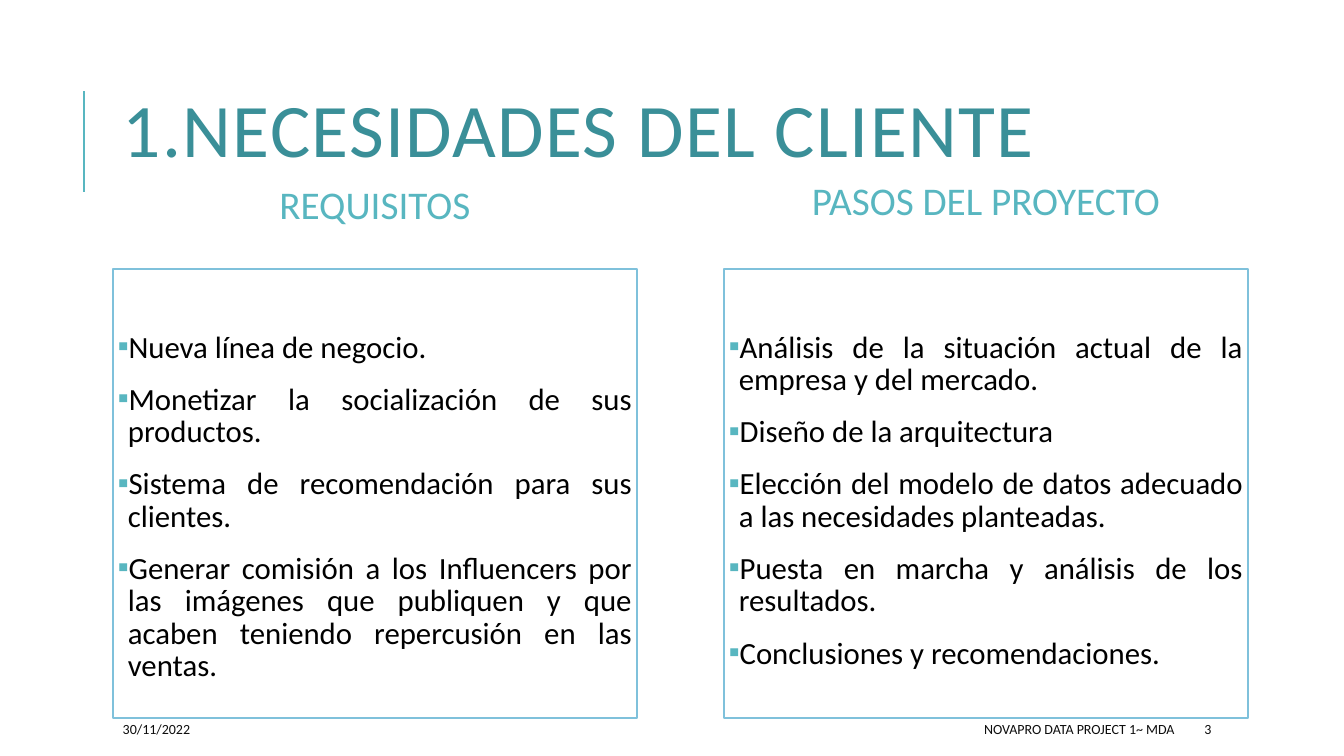
from lxml import etree
from pptx import Presentation
from pptx.dml.color import RGBColor
from pptx.enum.shapes import MSO_CONNECTOR, MSO_SHAPE
from pptx.enum.text import MSO_ANCHOR, PP_ALIGN
from pptx.oxml.ns import qn
from pptx.util import Pt

LEFT, MID, RIGHT, JUST = (PP_ALIGN.LEFT, PP_ALIGN.CENTER,
                          PP_ALIGN.RIGHT, PP_ALIGN.JUSTIFY)
TOP, CENTER = MSO_ANCHOR.TOP, MSO_ANCHOR.MIDDLE
RECT, LINE = MSO_SHAPE.RECTANGLE, MSO_CONNECTOR.STRAIGHT
HEX = {"title": "3A8F98", "accent": "58B6C0", "border": "7FC1DB",
       "body": "000000", "foot": "0D0D0D", "white": "FFFFFF"}
COLOR = {name: RGBColor.from_string(code) for name, code in HEX.items()}

prs = Presentation()
prs.slide_width, prs.slide_height = Pt(960), Pt(540)
slide = prs.slides.add_slide(prs.slide_layouts[6])
shapes = slide.shapes


def write(text, box, size, color, align=LEFT, anchor=CENTER, pad=(7.2, 3.6),
          lead=1, gap=(0, 0), track=0, bullet=None, panel=False, fill=None):
    """Put each line of text in its own paragraph of a text box or panel."""
    place = [Pt(n) for n in box]
    if panel:
        shape = shapes.add_shape(RECT, *place)
        shape.shadow.inherit = False
        shape.line.color.rgb = COLOR["border"]
        shape.line.width = Pt(1.5)
        if fill:
            shape.fill.solid()
            shape.fill.fore_color.rgb = COLOR[fill]
        else:
            shape.fill.background()
    else:
        shape = shapes.add_textbox(*place)
    frame = shape.text_frame
    frame.word_wrap = True
    frame.vertical_anchor = anchor
    frame.margin_left = frame.margin_right = Pt(pad[0])
    frame.margin_top, frame.margin_bottom = Pt(pad[1]), Pt(3.6)
    for i, line in enumerate(text.split("\n")):
        para = frame.paragraphs[0] if i == 0 else frame.add_paragraph()
        para.alignment = align
        para.line_spacing = lead
        para.space_before = Pt(gap[0] if i else 0)
        para.space_after = Pt(gap[1])
        run = para.add_run()
        run.text = line
        run.font.name = "Calibri"
        run.font.size = Pt(size)
        run.font.color.rgb = COLOR[color]
        if track:
            run._r.get_or_add_rPr().set("spc", str(track * 100))
        if bullet:
            props = para._p.get_or_add_pPr()
            props.set("marL", str(Pt(7.2)))
            props.set("indent", str(-Pt(7.2)))
            tint = etree.SubElement(props, qn("a:buClr"))
            etree.SubElement(tint, qn("a:srgbClr"), val=HEX["accent"])
            etree.SubElement(props, qn("a:buFont"), typeface="Calibri")
            etree.SubElement(props, qn("a:buChar"), char=bullet)


rule = shapes.add_connector(LINE, Pt(60), Pt(136.8), Pt(60), Pt(64.8))
rule.line.color.rgb = COLOR["accent"]
rule.line.width = Pt(1.5)
etree.SubElement(rule._element.spPr, qn("a:effectLst"))

write("1.NECESIDADES DEL CLIENTE", (80.6, 64.8, 765.4, 118), 54, "title",
      anchor=TOP, pad=(7.2, 6.3), lead=0.8, track=1)

columns = [
    ("REQUISITOS", 80.6, 115.2, "white",
     "Nueva línea de negocio.\n"
     "Monetizar la socialización de sus productos.\n"
     "Sistema de recomendación para sus clientes.\n"
     "Generar comisión a los Influencers por las imágenes que publiquen "
     "y que acaben teniendo repercusión en las ventas."),
    ("PASOS DEL PROYECTO", 517, 112.3, None,
     "Análisis de la situación actual de la empresa y del mercado.\n"
     "Diseño de la arquitectura\n"
     "Elección del modelo de datos adecuado a las necesidades planteadas.\n"
     "Puesta en marcha y análisis de los resultados.\n"
     "Conclusiones y recomendaciones."),
]
for head, x, y, fill, items in columns:
    write(head, (x, y, 374.4, 64.8), 28, "accent", align=MID,
          pad=(10.8, 3.6), lead=0.9)
    write(items, (x, 192.2, 374.4, 320.4), 22, "body", align=JUST, anchor=TOP,
          pad=(3.6, 45), lead=0.88, gap=(12, 2), bullet="▪",
          panel=True, fill=fill)

for text, x, w, align in [("30/11/2022", 80.6, 170, LEFT),
                          ("3", 853.2, 76.3, LEFT),
                          ("NOVAPRO DATA PROJECT 1~ MDA", 381.6, 464.4, RIGHT)]:
    write(text, (x, 509.8, w, 21.6), 10, "foot", align=align)

prs.save("out.pptx")
